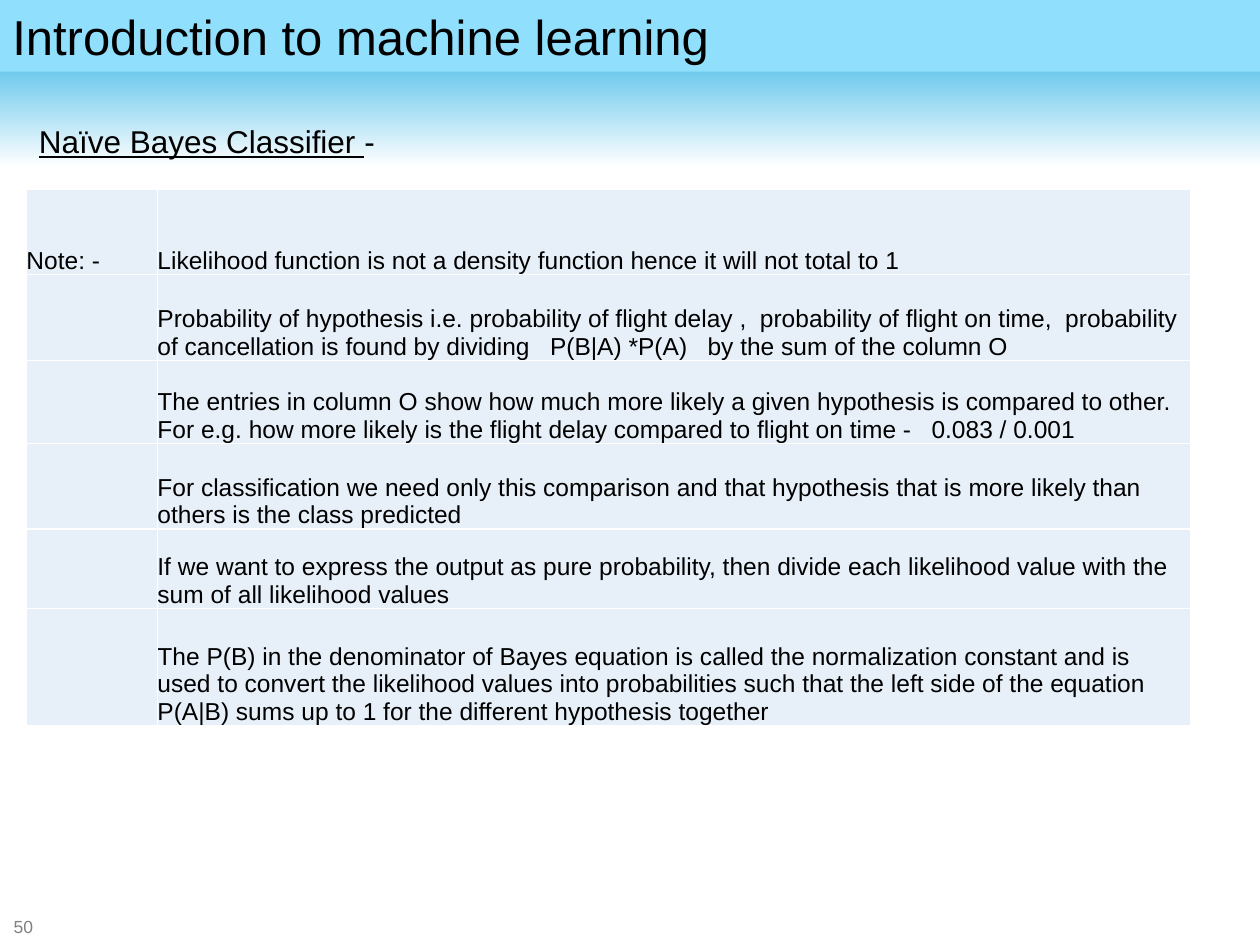
from lxml import etree
from pptx import Presentation
from pptx.dml.color import RGBColor
from pptx.enum.shapes import MSO_SHAPE
from pptx.enum.text import MSO_ANCHOR, PP_ALIGN
from pptx.oxml.ns import qn
from pptx.util import Inches, Pt

FONT = "Arial"
BLACK, WHITE, GREY = "000000", "FFFFFF", "808080"
SKY, DEEP_SKY, PALE_BLUE = "8FDFFD", "03A2DF", "E7F0F9"

COLUMN_WIDTHS = [1.04, 8.2]
NOTES = [
    (0.68, "Note: -", "Likelihood function is not a density function hence it will not total to 1"),
    (0.68, "", "Probability of hypothesis i.e. probability of flight delay ,  probability of flight on time,  "
               "probability of cancellation is found by dividing   P(B|A) *P(A)   by the sum of the column O"),
    (0.66, "", "The entries in column O show how much more likely a given hypothesis is compared to other.  "
               "For e.g. how more likely is the flight delay compared to flight on time -   0.083 / 0.001"),
    (0.68, "", "For classification we need only this comparison and that hypothesis that is more likely "
               "than others is the class predicted"),
    (0.63, "", "If we want to express the output as pure probability, then divide each likelihood value "
               "with the sum of all likelihood values"),
    (0.93, "", "The P(B) in the denominator of Bayes equation is called the normalization constant and is "
               "used to convert the likelihood values into probabilities such that the left side of the "
               "equation P(A|B) sums up to 1 for the different hypothesis together"),
]


def rgb(hex_colour):
    return RGBColor.from_string(hex_colour)


def add_run(paragraph, text, size, colour=BLACK, underline=None):
    run = paragraph.add_run()
    run.text = text
    run.font.name = FONT
    run.font.size = Pt(size)
    run.font.color.rgb = rgb(colour)
    run.font.underline = underline


def add_band(slide, height):
    """Add a full-width rectangle at the top of the slide."""
    band = slide.shapes.add_shape(MSO_SHAPE.RECTANGLE, 0, 0, Inches(10), Inches(height))
    band.shadow.inherit = False
    band.line.fill.background()
    return band


def add_header(slide, title):
    glow = add_band(slide, 1.33)
    glow.fill.gradient()
    glow.fill.gradient_angle = 270
    for stop, colour in zip(glow.fill.gradient_stops, (DEEP_SKY, WHITE)):
        stop.color.rgb = rgb(colour)

    banner = add_band(slide, 0.57)
    banner.fill.solid()
    banner.fill.fore_color.rgb = rgb(SKY)
    banner.text_frame.vertical_anchor = MSO_ANCHOR.TOP
    heading = banner.text_frame.paragraphs[0]
    heading.alignment = PP_ALIGN.LEFT
    add_run(heading, title, 28)


def add_text_box(slide, left, top, width, height, anchor=MSO_ANCHOR.TOP):
    """Add a text box and return its first paragraph."""
    frame = slide.shapes.add_textbox(Inches(left), Inches(top), Inches(width), Inches(height)).text_frame
    frame.word_wrap = True
    frame.vertical_anchor = anchor
    return frame.paragraphs[0]


def set_borders(cell, colour, points):
    properties = cell._tc.get_or_add_tcPr()
    for position, side in enumerate(("lnL", "lnR", "lnT", "lnB")):
        line = etree.Element(qn(f"a:{side}"), w=str(Pt(points)))
        fill = etree.SubElement(line, qn("a:solidFill"))
        etree.SubElement(fill, qn("a:srgbClr"), val=colour)
        properties.insert(position, line)


def fill_cell(cell, text):
    cell.fill.solid()
    cell.fill.fore_color.rgb = rgb(PALE_BLUE)
    cell.vertical_anchor = MSO_ANCHOR.BOTTOM
    cell.margin_left = cell.margin_right = cell.margin_top = cell.margin_bottom = 0
    set_borders(cell, WHITE, 1)
    if text:
        add_run(cell.text_frame.paragraphs[0], text, 14)


def add_notes_table(slide, left, top):
    height = sum(note[0] for note in NOTES)
    table = slide.shapes.add_table(
        len(NOTES), len(COLUMN_WIDTHS), Inches(left), Inches(top),
        Inches(sum(COLUMN_WIDTHS)), Inches(height)).table
    table.first_row = table.horz_banding = False
    for column, width in zip(table.columns, COLUMN_WIDTHS):
        column.width = Inches(width)
    for row, (row_height, *texts) in zip(table.rows, NOTES):
        row.height = Inches(row_height)
        for cell, text in zip(row.cells, texts):
            fill_cell(cell, text)


def main():
    presentation = Presentation()
    presentation.slide_width, presentation.slide_height = Inches(10), Inches(7.5)
    slide = presentation.slides.add_slide(presentation.slide_layouts[6])

    add_header(slide, "Introduction to machine learning")
    page_number = add_text_box(slide, 0.01, 7.27, 0.39, 0.16, MSO_ANCHOR.MIDDLE)
    add_run(page_number, "50", 10, GREY)
    topic = add_text_box(slide, 0.21, 0.92, 9.21, 0.45)
    add_run(topic, "Naïve Bayes Classifier ", 18, underline=True)
    add_run(topic, "-", 18)
    add_notes_table(slide, 0.21, 1.5)

    presentation.save("out.pptx")


if __name__ == "__main__":
    main()
